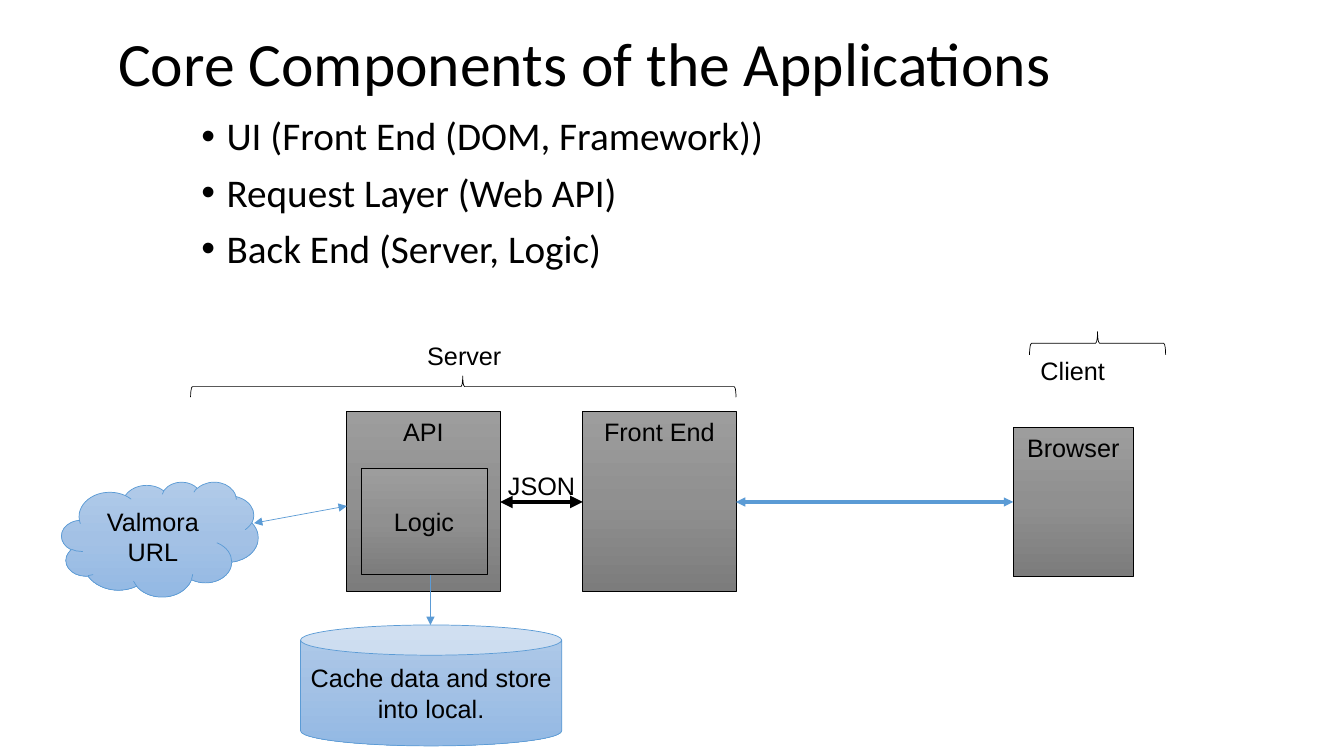
"""Build a slide that maps the core components of a web application."""
import copy
from dataclasses import dataclass

import pptx
import pptx.dml.color
import pptx.enum.dml
import pptx.enum.shapes
import pptx.enum.text
import pptx.oxml
import pptx.oxml.ns
import pptx.util

qn = pptx.oxml.ns.qn
SHAPE = pptx.enum.shapes.MSO_SHAPE
ALIGN = pptx.enum.text.PP_ALIGN
ANCHOR = pptx.enum.text.MSO_ANCHOR


@dataclass(frozen=True)
class Theme:
    black: str = "000000"
    blue: str = "5B9BD5"
    gray_fill: tuple = ("9D9D9D", "909090", "7C7C7C")
    blue_fill: tuple = ("B1CBE9", "A3C1E5", "93B9E4")
    heading_font: str = "Calibri"
    label_font: str = "Arial"
    title_size: int = 44
    bullet_size: int = 28
    label_size: int = 18
    thin: float = 0.5


theme = Theme()
presentation = pptx.Presentation()
presentation.slide_width = pptx.util.Inches(13.33)
presentation.slide_height = pptx.util.Inches(7.5)
slide = presentation.slides.add_slide(presentation.slide_layouts[5])


def grid(*shares):
    """Turn alternating column and row percentages into slide lengths."""
    sides = (presentation.slide_width, presentation.slide_height)
    return [round(share * sides[i % 2] / 100) for i, share in enumerate(shares)]


def write(shape, lines, font, size, align, anchor):
    """Fill a shape with text lines in one style."""
    frame = shape.text_frame
    frame.text = "\n".join(lines)
    frame.word_wrap = True
    frame.auto_size = pptx.enum.text.MSO_AUTO_SIZE.NONE
    frame.vertical_anchor = anchor
    for paragraph in frame.paragraphs:
        paragraph.alignment = align
        for run in paragraph.runs:
            run.font.name = font
            run.font.size = pptx.util.Pt(size)
            run.font.color.rgb = pptx.dml.color.RGBColor.from_string(theme.black)


title = slide.shapes.title
title.left, title.top, title.width, title.height = grid(8.03, -0.8, 86.27, 19.33)
write(title, ["Core Components of the Applications"], theme.heading_font,
      theme.title_size, ALIGN.LEFT, ANCHOR.MIDDLE)
title.text_frame.paragraphs[0].line_spacing = 0.9

layers = slide.shapes.add_textbox(*grid(14.25, 14.8, 58.06, 26.4))
write(layers, ["UI (Front End (DOM, Framework))", "Request Layer (Web API)",
               "Back End (Server, Logic)"],
      theme.heading_font, theme.bullet_size, ALIGN.LEFT, ANCHOR.TOP)
for index, paragraph in enumerate(layers.text_frame.paragraphs):
    paragraph.line_spacing = 0.9
    paragraph.space_before = pptx.util.Pt(10 if index else 0)
    properties = paragraph._p.get_or_add_pPr()
    indent = pptx.util.Inches(0.25)
    properties.set("marL", str(indent))
    properties.set("indent", str(-indent))
    for tag, attribute, value in (("a:buFont", "typeface", "Arial"), ("a:buChar", "char", "•")):
        properties.append(pptx.oxml.xmlchemy.OxmlElement(tag))
        properties[-1].set(attribute, value)

gray, blue = (theme.gray_fill, theme.black), (theme.blue_fill, theme.blue)
components = [
    ("Browser", SHAPE.RECTANGLE, (75.39, 56.53, 8.93, 19.73), gray, ANCHOR.TOP),
    ("Cache data and store into local.", SHAPE.CAN, (22.36, 82.67, 19.43, 16), blue, ANCHOR.MIDDLE),
    ("API", SHAPE.RECTANGLE, (25.81, 54.4, 11.4, 23.87), gray, ANCHOR.TOP),
    ("Front End", SHAPE.RECTANGLE, (43.36, 54.4, 11.4, 23.87), gray, ANCHOR.TOP),
    ("Logic", SHAPE.RECTANGLE, (26.86, 62, 9.38, 14), gray, ANCHOR.MIDDLE),
    ("Valmora URL", SHAPE.CLOUD, (4.58, 63.73, 14.63, 15.2), blue, ANCHOR.MIDDLE),
]
for label, kind, place, (colors, outline), anchor in components:
    shape = slide.shapes.add_shape(kind, *grid(*place))
    shape.shadow.inherit = False
    shape.fill.gradient()
    shape.fill.gradient_angle = 270
    stops = shape._element.spPr.find(".//" + qn("a:gsLst"))
    stops.insert(1, copy.deepcopy(stops[0]))
    for stop, color, position in zip(shape.fill.gradient_stops, colors, (0, 0.5, 1)):
        stop.position = position
        stop.color.rgb = pptx.dml.color.RGBColor.from_string(color)
    shape.line.color.rgb = pptx.dml.color.RGBColor.from_string(outline)
    shape.line.width = pptx.util.Pt(theme.thin)
    write(shape, [label], theme.label_font, theme.label_size, ALIGN.CENTER, anchor)

arrows = [
    ((32.03, 76, 32.03, 82.67), theme.blue, theme.thin, ["a:tailEnd"]),
    ((54.76, 66.4, 75.39, 66.4), theme.blue, 2.25, ["a:headEnd", "a:tailEnd"]),
    ((37.21, 66.4, 43.36, 66.4), theme.black, 3, ["a:headEnd", "a:tailEnd"]),
    ((18.9, 69.2, 25.81, 66.93), theme.blue, theme.thin, ["a:headEnd", "a:tailEnd"]),
]
for ends, color, width, heads in arrows:
    arrow = slide.shapes.add_connector(pptx.enum.shapes.MSO_CONNECTOR.STRAIGHT, *grid(*ends))
    arrow.line.color.rgb = pptx.dml.color.RGBColor.from_string(color)
    arrow.line.width = pptx.util.Pt(width)
    outline = arrow._element.spPr.find(qn("a:ln"))
    for head in heads:
        outline.append(pptx.oxml.xmlchemy.OxmlElement(head))
        outline[-1].set("type", "triangle")
    arrow._element.spPr.append(pptx.oxml.xmlchemy.OxmlElement("a:effectLst"))

braces = [
    ((80.8, 36.4, 1.73, 18), 0.083, 0.5),
    ((33.68, 15.07, 1.58, 72.13), 0.083, 0.499),
]
for place, curve, middle in braces:
    brace = slide.shapes.add_shape(SHAPE.RIGHT_BRACE, *grid(*place))
    brace.rotation = 270
    brace.adjustments[0], brace.adjustments[1] = curve, middle
    brace.shadow.inherit = False
    brace.fill.background()
    brace.line.color.rgb = pptx.dml.color.RGBColor.from_string(theme.black)
    brace.line.width = pptx.util.Pt(theme.thin)

labels = [
    ("JSON", (37.06, 61.6, 9.15, 5.33), ALIGN.LEFT),
    ("Client", (76.29, 46.4, 7.05, 5.33), ALIGN.CENTER),
    ("Server", (24.31, 44.4, 20.48, 5.33), ALIGN.CENTER),
]
for label, place, align in labels:
    box = slide.shapes.add_textbox(*grid(*place))
    write(box, [label], theme.label_font, theme.label_size, align, ANCHOR.TOP)

presentation.save("out.pptx")
